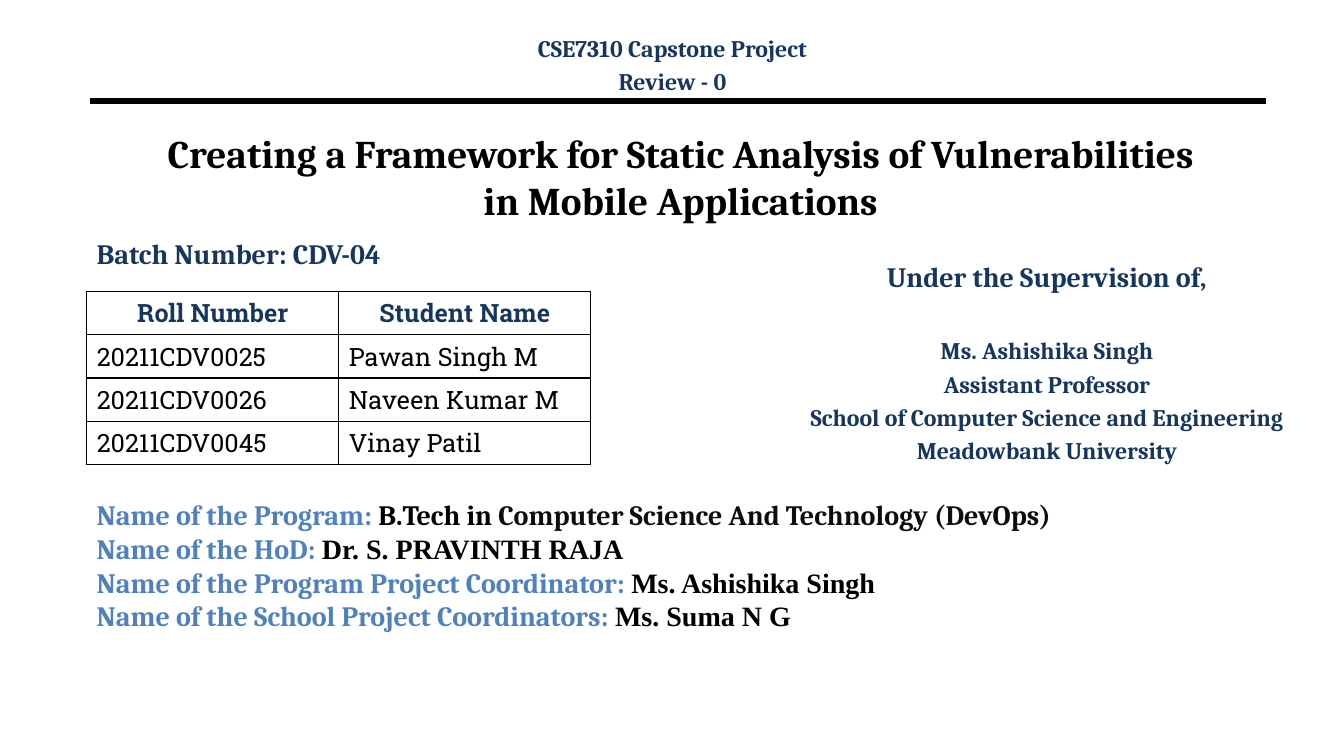
import pptx
import pptx.util
import pptx.dml.color
import pptx.enum.shapes
import pptx.enum.text
import pptx.oxml
import pptx.oxml.ns

PX = 9144
BLACK = pptx.dml.color.RGBColor(0x00, 0x00, 0x00)
INK = pptx.dml.color.RGBColor(0x0D, 0x0D, 0x0D)
NAVY = pptx.dml.color.RGBColor(0x17, 0x36, 0x5D)
BLUE = pptx.dml.color.RGBColor(0x4F, 0x81, 0xBD)
CENTER = pptx.enum.text.PP_ALIGN.CENTER
LEFT = pptx.enum.text.PP_ALIGN.LEFT
MIDDLE = pptx.enum.text.MSO_ANCHOR.MIDDLE
TOP = pptx.enum.text.MSO_ANCHOR.TOP
SERIF, SLAB, TIMES = "Cambria", "Roboto Slab", "Times New Roman"


def emu(*lengths):
    """Turn px lengths into EMU."""
    return [pptx.util.Emu(n * PX) for n in lengths]


def add_run(p, text, size=20, color=NAVY, font=SERIF, bold=True):
    """Append formatted text to a paragraph."""
    r = p.add_run()
    r.text = text
    r.font.size = pptx.util.Pt(size)
    r.font.name = font
    r.font.bold = bold
    r.font.color.rgb = color


def add_text(s, box, lines, anchor=TOP, align=LEFT):
    """Add a text box from (space before, [(text, format), ...]) lines."""
    tf = s.shapes.add_textbox(*emu(*box)).text_frame
    tf.word_wrap = True
    tf.vertical_anchor = anchor
    for i, (space, runs) in enumerate(lines):
        p = tf.paragraphs[0] if i == 0 else tf.add_paragraph()
        p.alignment = align
        p.space_before = pptx.util.Pt(space)
        for text, style in runs:
            add_run(p, text, **style)


def add_header(s, x, y, w):
    """Draw the course heading centred above a thick rule."""
    style = {"size": 17}
    add_text(s, (x + 361, y, 434, 60), [
        (0, [("CSE7310 Capstone Project", style)]),
        (3.1, [("Review - 0", style)]),
    ], align=CENTER)
    rule = s.shapes.add_connector(
        pptx.enum.shapes.MSO_CONNECTOR.STRAIGHT, *emu(x, y + 71, x + w, y + 71))
    rule.line.color.rgb = BLACK
    rule.line.width = pptx.util.Pt(4.5)
    rule._element.spPr.append(pptx.oxml.parse_xml(
        f'<a:effectLst {pptx.oxml.ns.nsdecls("a")}/>'))


def add_title(s, box):
    """Write the project title."""
    title = "Creating a Framework for Static Analysis of Vulnerabilities in Mobile Applications"
    add_text(s, box, [(0, [(title, {"size": 28, "color": BLACK})])], MIDDLE, CENTER)


def set_borders(cell):
    """Give a table cell thin black borders and no fill."""
    tc_pr = cell._tc.get_or_add_tcPr()
    for side in ("lnL", "lnR", "lnT", "lnB"):
        tc_pr.append(pptx.oxml.parse_xml(
            f'<a:{side} {pptx.oxml.ns.nsdecls("a")} w="12700"><a:solidFill>'
            f'<a:srgbClr val="{BLACK}"/></a:solidFill></a:{side}>'))
    cell.fill.background()


def add_batch(s, x, y):
    """Place the batch number with its student table below."""
    add_text(s, (x, y, 434, 60), [(0, [("Batch Number: CDV-04", {})])])
    rows = [
        ("Roll Number", "Student Name"),
        ("20211CDV0025", "Pawan Singh M"),
        ("20211CDV0026", "Naveen Kumar M"),
        ("20211CDV0045", "Vinay Patil"),
    ]
    row_h = 43
    table = s.shapes.add_table(
        len(rows), 2, *emu(x, y + 59, 500, row_h * len(rows))).table
    for i, row in enumerate(rows):
        head = i == 0
        for j, text in enumerate(row):
            cell = table.cell(i, j)
            p = cell.text_frame.paragraphs[0]
            p.alignment = CENTER if head else LEFT
            add_run(p, text, size=18, font=SLAB, bold=head,
                    color=NAVY if head else BLACK)
            set_borders(cell)


def add_supervisor(s, box):
    """List the supervisor's name and post."""
    details = ["Ms. Ashishika Singh", "Assistant Professor",
               "School of Computer Science and Engineering", "Meadowbank University"]
    lines = [(0, [("Under the Supervision of,", {})])]
    for i, text in enumerate(details):
        lines.append((31 if i == 0 else 3.4, [(text, {"size": 17})]))
    add_text(s, box, lines, align=CENTER)


def add_programme(s, box):
    """List the programme and its coordinators."""
    label, name = {"color": BLUE}, {"color": BLACK, "font": TIMES}
    people = [
        ("HoD", "Dr. S. PRAVINTH RAJA"),
        ("Program Project Coordinator", "Ms. Ashishika Singh"),
        ("School Project Coordinators", "Ms. Suma N G"),
    ]
    lines = [(0, [
        ("Name of the Program: ", label),
        ("B.Tech in ", {"color": BLACK}),
        ("Computer Science And Technology (DevOps)", {"color": INK}),
    ])]
    lines += [(0, [(f"Name of the {role}: ", label), (person, name)])
              for role, person in people]
    add_text(s, box, lines)


def main():
    """Build and save the title slide."""
    prs = pptx.Presentation()
    prs.slide_width, prs.slide_height = emu(1333, 750)
    s = prs.slides.add_slide(prs.slide_layouts[6])
    add_header(s, 89, 29, 1167)
    add_title(s, (137, 136, 1076, 78))
    add_batch(s, 86, 230)
    add_supervisor(s, (737, 252, 603, 221))
    add_programme(s, (86, 489, 1177, 171))
    prs.save("out.pptx")


if __name__ == "__main__":
    main()
